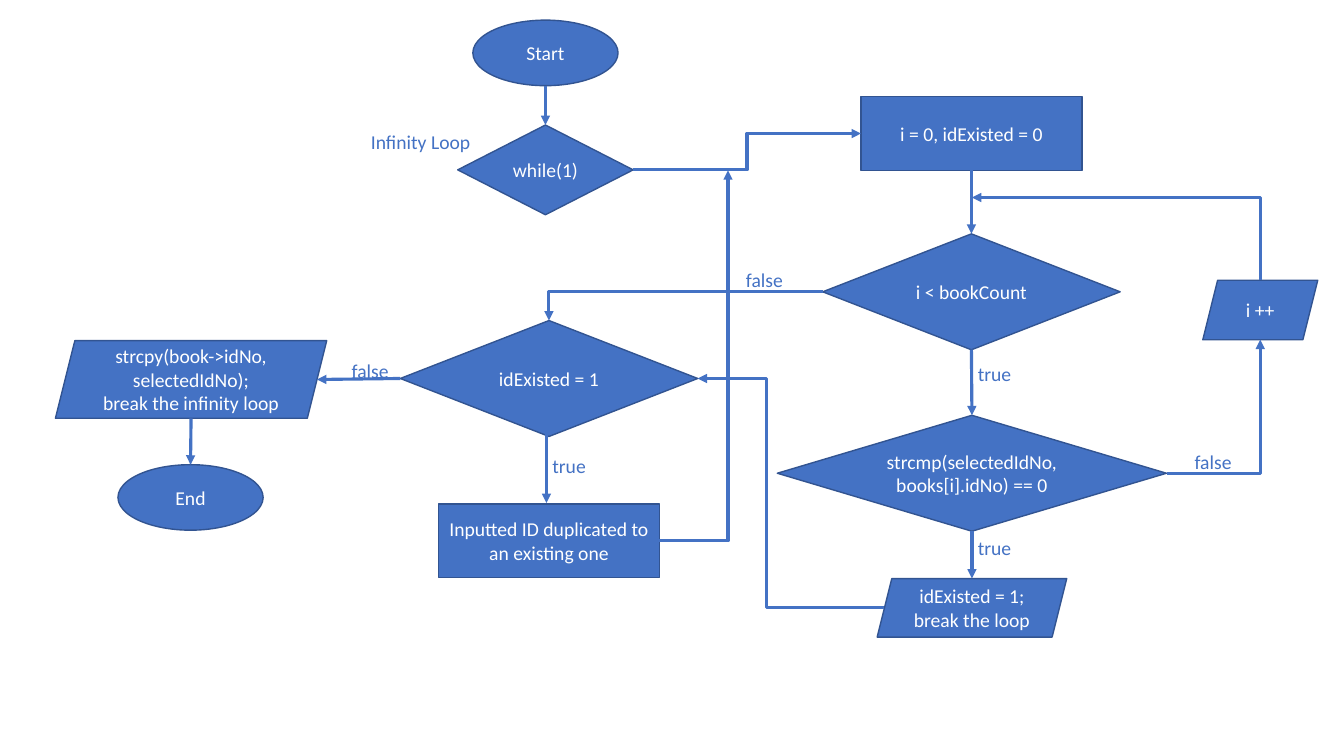
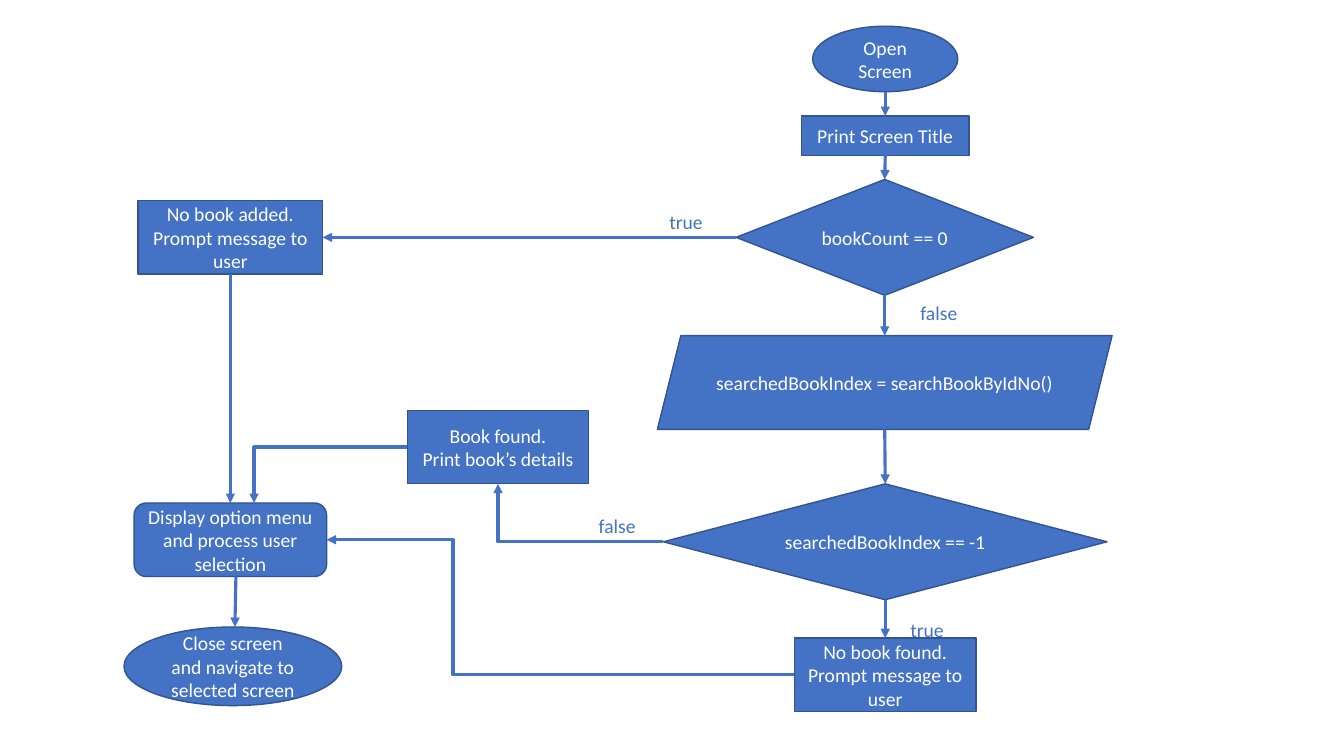
"""Build two flowchart slides: checking a new book ID and searching for a book."""
from lxml import etree
from pptx import Presentation
from pptx.dml.color import RGBColor
from pptx.enum.shapes import MSO_CONNECTOR, MSO_SHAPE
from pptx.enum.text import MSO_ANCHOR, MSO_AUTO_SIZE, PP_ALIGN
from pptx.oxml.ns import qn
from pptx.util import Inches, Pt

COLORS = {"fill": "4472C4", "outline": "325491", "node_text": "FFFFFF"}
FONT = "Calibri"
FONT_SIZE = Pt(14)

OVAL = MSO_SHAPE.OVAL
BOX = MSO_SHAPE.RECTANGLE
ROUNDED = MSO_SHAPE.ROUNDED_RECTANGLE
DECISION = MSO_SHAPE.DIAMOND
DATA = MSO_SHAPE.PARALLELOGRAM
STRAIGHT = MSO_CONNECTOR.STRAIGHT
ELBOW = MSO_CONNECTOR.ELBOW
MIDDLE = MSO_ANCHOR.MIDDLE
CENTER = PP_ALIGN.CENTER
FIT_TEXT = MSO_AUTO_SIZE.SHAPE_TO_FIT_TEXT

FOUR_SITES = {"top": 0, "left": 1, "bottom": 2, "right": 3}
SITES = {
    BOX: FOUR_SITES,
    ROUNDED: FOUR_SITES,
    DECISION: FOUR_SITES,
    OVAL: {"top": 0, "left": 2, "bottom": 4, "right": 6},
    DATA: {"top": 0, "right": 2, "bottom": 4, "left": 5},
}
SIDES = {"top": (0.5, 0), "left": (0, 0.5), "bottom": (0.5, 1), "right": (1, 0.5)}

FLOWCHARTS = [
    {
        "nodes": {
            "start": (OVAL, 4.69, 0.2, 1.44, 0.65, ["Start"]),
            "while": (DECISION, 4.54, 1.24, 1.74, 0.89, ["while(1)"]),
            "reset": (BOX, 8.54, 0.96, 2.19, 0.73, ["i = 0, idExisted = 0"]),
            "count": (DECISION, 8.16, 2.32, 2.95, 1.15, ["i < bookCount"]),
            "next": (DATA, 11.93, 2.78, 1.14, 0.59, ["i ++"]),
            "compare": (DECISION, 7.71, 4.12, 3.86, 1.15,
                        ["strcmp(selectedIdNo, books[i].idNo) == 0"]),
            "mark": (DATA, 8.7, 5.74, 1.88, 0.58, ["idExisted = 1;", "break the loop"]),
            "existed": (DECISION, 3.97, 3.18, 2.95, 1.15, ["idExisted = 1"]),
            "duplicated": (BOX, 4.35, 5, 2.19, 0.73,
                           ["Inputted ID duplicated to an existing one"]),
            "copy_id": (DATA, 0.55, 3.38, 2.69, 0.77,
                        ["strcpy(book->idNo, selectedIdNo);", "break the infinity loop"]),
            "end": (OVAL, 1.17, 4.61, 1.44, 0.65, ["End"]),
        },
        "straight": [
            ("start bottom", "while top"),
            ("reset bottom", "count top"),
            ("count bottom", "compare top"),
            ("compare bottom", "mark top"),
            ((5.42, 4.31), (5.42, 4.99)),
            ("existed left", "copy_id right"),
            ("copy_id bottom", "end top"),
        ],
        "one_bend": [
            ("compare right", "next bottom"),
            ("next top", (9.64, 1.96)),
            ("duplicated right", (7.22, 1.69)),
            ("count left", "existed top"),
        ],
        "two_bends": [
            ("while right", "reset left", 0.5),
            ("mark left", "existed right", 0.63),
        ],
        "labels": [
            ("false", 3.39, 3.51, 0.57), ("true", 9.6, 3.54, 0.54),
            ("true", 9.6, 5.27, 0.54), ("false", 11.75, 4.41, 0.57),
            ("false", 7.3, 2.61, 0.57), ("true", 5.38, 4.45, 0.54),
            ("Infinity Loop", 3.58, 1.24, 1.2),
        ],
    },
    {
        "nodes": {
            "open": (OVAL, 8.06, 0.26, 1.44, 0.65, ["Open Screen"]),
            "heading": (BOX, 7.95, 1.15, 1.66, 0.39, ["Print Screen Title"]),
            "empty": (DECISION, 7.3, 1.78, 2.95, 1.15, ["bookCount == 0"]),
            "no_books": (BOX, 1.37, 1.99, 1.83, 0.73,
                         ["No book added.", "Prompt message to user"]),
            "search": (DATA, 6.52, 3.33, 4.51, 0.93,
                       ["searchedBookIndex = searchBookByIdNo()"]),
            "missing": (DECISION, 6.58, 4.8, 4.4, 1.15, ["searchedBookIndex == -1"]),
            "found": (BOX, 4.04, 4.07, 1.8, 0.73, ["Book found.", "Print book’s details"]),
            "not_found": (BOX, 7.88, 6.33, 1.8, 0.73,
                          ["No book found.", "Prompt message to user"]),
            "menu": (ROUNDED, 1.33, 4.99, 1.91, 0.73,
                     ["Display option menu and process user selection"]),
            "close": (OVAL, 1.23, 6.22, 2.16, 0.78,
                      ["Close screen and navigate to selected screen"]),
        },
        "straight": [
            ("open bottom", "heading top"),
            ("heading bottom", "empty top"),
            ("empty bottom", "search top"),
            ("empty left", "no_books right"),
            ("search bottom", "missing top"),
            ("missing bottom", "not_found top"),
            ("no_books bottom", "menu top"),
            ((2.34, 5.72), (2.33, 6.22)),
        ],
        "one_bend": [
            ("found left", (2.52, 4.99)),
            ("missing left", "found bottom"),
        ],
        "two_bends": [("not_found left", "menu right", 0.73)],
        "labels": [
            ("false", 9.03, 2.94, 0.57), ("false", 5.84, 5.05, 0.57),
            ("true", 6.54, 2.03, 0.54), ("true", 8.93, 6.08, 0.54),
        ],
    },
]


def write(paragraph, text, color):
    """Add one run in the shared text style."""
    run = paragraph.add_run()
    run.text = text
    run.font.name = FONT
    run.font.size = FONT_SIZE
    run.font.color.rgb = RGBColor.from_string(COLORS[color])


def add_arrow(slide, shapes, start, end, preset="line", bend=None):
    """Draw an arrow between node sides or free points, glued to the nodes."""
    points, glue = [], []
    for anchor, tag in ((start, "a:stCxn"), (end, "a:endCxn")):
        if isinstance(anchor, tuple):
            points.append([Inches(length) for length in anchor])
            continue
        name, side = anchor.split()
        shape = shapes[name]
        across, down = SIDES[side]
        x = shape.left + int(shape.width * across)
        y = shape.top + int(shape.height * down)
        if shape.auto_shape_type == DATA and across != 0.5:
            slant = int(min(shape.width, shape.height) * shape.adjustments[0] / 2)
            x += slant if side == "left" else -slant
        points.append([x, y])
        glue.append((tag, shape.shape_id, SITES[shape.auto_shape_type][side]))

    (x1, y1), (x2, y2) = points
    upward = preset == "bentConnector2" and start.endswith("top")
    if upward:
        center_x, center_y = (x1 + x2) // 2, (y1 + y2) // 2
        half_width, half_height = abs(y2 - y1) // 2, abs(x2 - x1) // 2
        x1, y1 = center_x - half_width, center_y + half_height
        x2, y2 = center_x + half_width, center_y - half_height
    kind = STRAIGHT if preset == "line" else ELBOW
    connector = slide.shapes.add_connector(kind, x1, y1, x2, y2)
    connector.line.color.rgb = RGBColor.from_string(COLORS["fill"])
    connector.line.width = Pt(2.25)

    properties = connector.element.find(qn("p:spPr"))
    if upward:
        properties.find(qn("a:xfrm")).set("rot", str(270 * 60000))
    geometry = properties.find(qn("a:prstGeom"))
    geometry.set("prst", preset)
    if bend is not None:
        guide = etree.SubElement(geometry.find(qn("a:avLst")), qn("a:gd"))
        guide.set("name", "adj1")
        guide.set("fmla", f"val {round(bend * 100000)}")
    etree.SubElement(properties.find(qn("a:ln")), qn("a:tailEnd")).set("type", "triangle")
    etree.SubElement(properties, qn("a:effectLst"))
    holder = next(connector.element.iter(qn("p:cNvCxnSpPr")))
    for tag, shape_id, site in glue:
        connection = etree.SubElement(holder, qn(tag))
        connection.set("id", str(shape_id))
        connection.set("idx", str(site))


presentation = Presentation()
presentation.slide_width = Inches(13.33)
presentation.slide_height = Inches(7.5)
blank_layout = presentation.slide_layouts[6]

for flowchart in FLOWCHARTS:
    slide = presentation.slides.add_slide(blank_layout)

    shapes = {}
    for name, (kind, left, top, width, height, lines) in flowchart["nodes"].items():
        shape = slide.shapes.add_shape(
            kind, Inches(left), Inches(top), Inches(width), Inches(height))
        shape.shadow.inherit = False
        shape.fill.solid()
        shape.fill.fore_color.rgb = RGBColor.from_string(COLORS["fill"])
        shape.line.color.rgb = RGBColor.from_string(COLORS["outline"])
        shape.line.width = Pt(1)
        frame = shape.text_frame
        frame.word_wrap = True
        frame.vertical_anchor = MIDDLE
        for index, line in enumerate(lines):
            paragraph = frame.add_paragraph() if index else frame.paragraphs[0]
            paragraph.alignment = CENTER
            write(paragraph, line, "node_text")
        shapes[name] = shape

    for start, end in flowchart["straight"]:
        add_arrow(slide, shapes, start, end)
    for start, end in flowchart["one_bend"]:
        add_arrow(slide, shapes, start, end, "bentConnector2")
    for start, end, bend in flowchart["two_bends"]:
        add_arrow(slide, shapes, start, end, "bentConnector3", bend)

    for text, left, top, width in flowchart["labels"]:
        label = slide.shapes.add_textbox(
            Inches(left), Inches(top), Inches(width), Inches(0.34))
        label.text_frame.word_wrap = False
        label.text_frame.auto_size = FIT_TEXT
        write(label.text_frame.paragraphs[0], text, "fill")

presentation.save("out.pptx")
